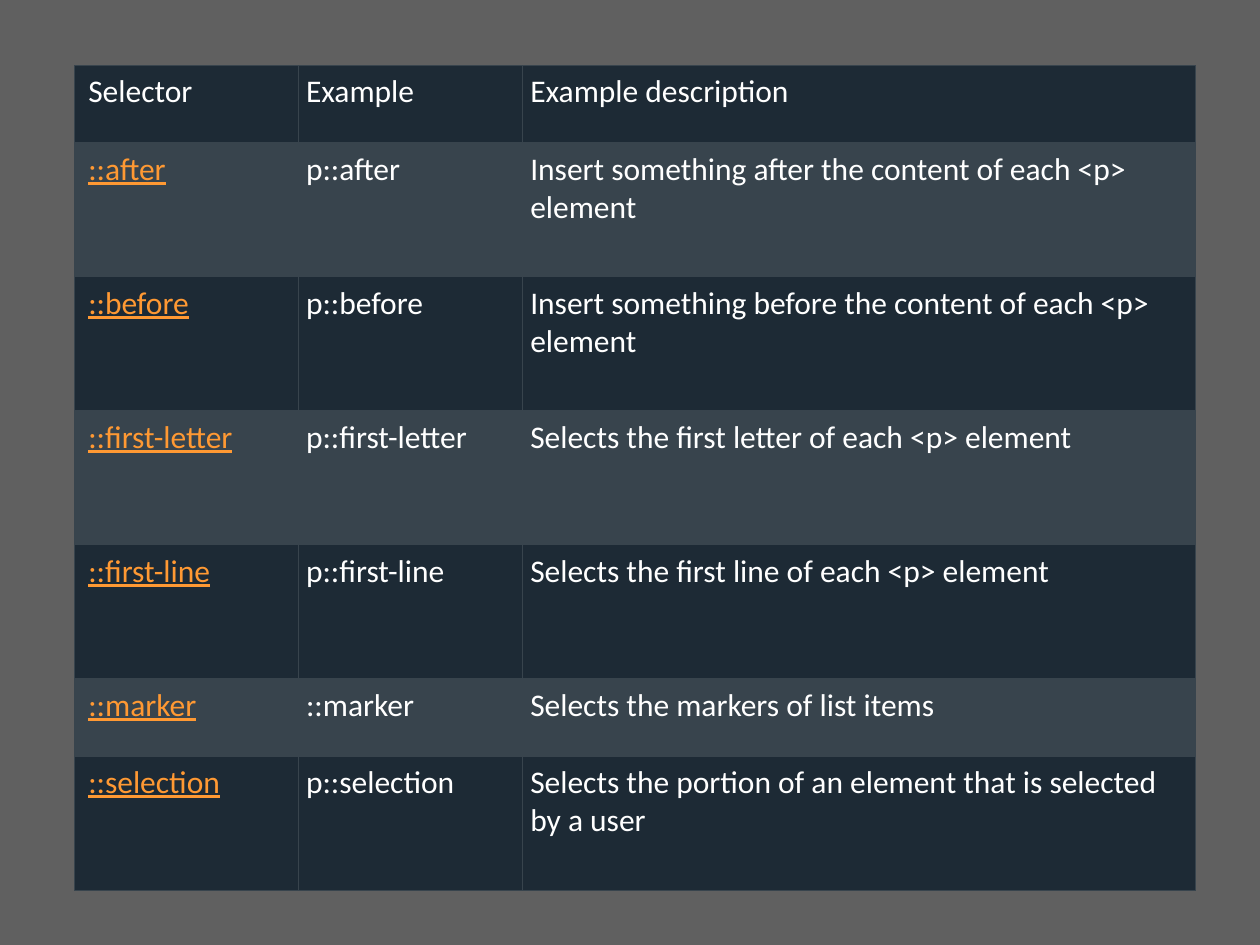
from lxml.etree import SubElement
from pptx import Presentation
from pptx.dml.color import RGBColor
from pptx.oxml.ns import qn
from pptx.util import Cm, Pt

BACKGROUND = RGBColor(0x60, 0x60, 0x60)
DARK = RGBColor(0x1D, 0x2A, 0x35)
SLATE = RGBColor(0x38, 0x44, 0x4D)
WHITE = RGBColor(0xFF, 0xFF, 0xFF)
ORANGE = RGBColor(0xFF, 0x99, 0x33)

SHORT_ROW, TALL_ROW = 1.56, 2.7
COLUMN_SHARES = (0.2, 0.2, 0.6)

# Row height in cm, then selector, example and description
ROWS = [
    (SHORT_ROW, "Selector", "Example", "Example description"),
    (TALL_ROW, "::after", "p::after",
     "Insert something after the content of each <p> element"),
    (TALL_ROW, "::before", "p::before",
     "Insert something before the content of each <p> element"),
    (TALL_ROW, "::first-letter", "p::first-letter",
     "Selects the first letter of each <p> element"),
    (TALL_ROW, "::first-line", "p::first-line",
     "Selects the first line of each <p> element"),
    (SHORT_ROW, "::marker", "::marker", "Selects the markers of list items"),
    (TALL_ROW, "::selection", "p::selection",
     "Selects the portion of an element that is selected by a user"),
]


def add_borders(cell, color, width):
    """Draw all four cell borders; call before the cell is filled."""
    properties = cell._tc.get_or_add_tcPr()
    for side in ("a:lnL", "a:lnR", "a:lnT", "a:lnB"):
        line = SubElement(properties, qn(side), w=str(width))
        fill = SubElement(line, qn("a:solidFill"))
        SubElement(fill, qn("a:srgbClr"), val=str(color))


def format_cell(cell, text, fill_color, left_margin, is_selector):
    add_borders(cell, SLATE, Pt(0.5))
    cell.fill.solid()
    cell.fill.fore_color.rgb = fill_color
    cell.margin_left = left_margin
    cell.margin_right = cell.margin_top = cell.margin_bottom = Cm(0.15)

    cell.text_frame.text = text
    font = cell.text_frame.paragraphs[0].runs[0].font
    font.name = "Calibri"
    font.size = Pt(18)
    font.color.rgb = ORANGE if is_selector else WHITE
    font.underline = is_selector


def add_selector_table(slide, left, top, width):
    height = Cm(sum(row[0] for row in ROWS))
    frame = slide.shapes.add_table(
        len(ROWS), len(COLUMN_SHARES), left, top, width, height)
    table = frame.table

    for column, share in zip(table.columns, COLUMN_SHARES):
        column.width = int(width * share)

    # Alternating row colours, with the selectors underlined below the header
    for row_index, (row_height, *texts) in enumerate(ROWS):
        table.rows[row_index].height = Cm(row_height)
        fill_color = SLATE if row_index % 2 else DARK
        for column_index, text in enumerate(texts):
            is_first = column_index == 0
            format_cell(table.cell(row_index, column_index), text, fill_color,
                        left_margin=Cm(0.28 if is_first else 0.15),
                        is_selector=is_first and row_index > 0)


def main():
    presentation = Presentation()
    presentation.slide_width = Cm(25.4)
    presentation.slide_height = Cm(19.05)
    slide = presentation.slides.add_slide(presentation.slide_layouts[6])

    # Background
    slide.background.fill.solid()
    slide.background.fill.fore_color.rgb = BACKGROUND

    # Table of pseudo-elements
    add_selector_table(slide, Cm(1.5), Cm(1.32), Cm(22.6))
    presentation.save("out.pptx")


if __name__ == "__main__":
    main()
